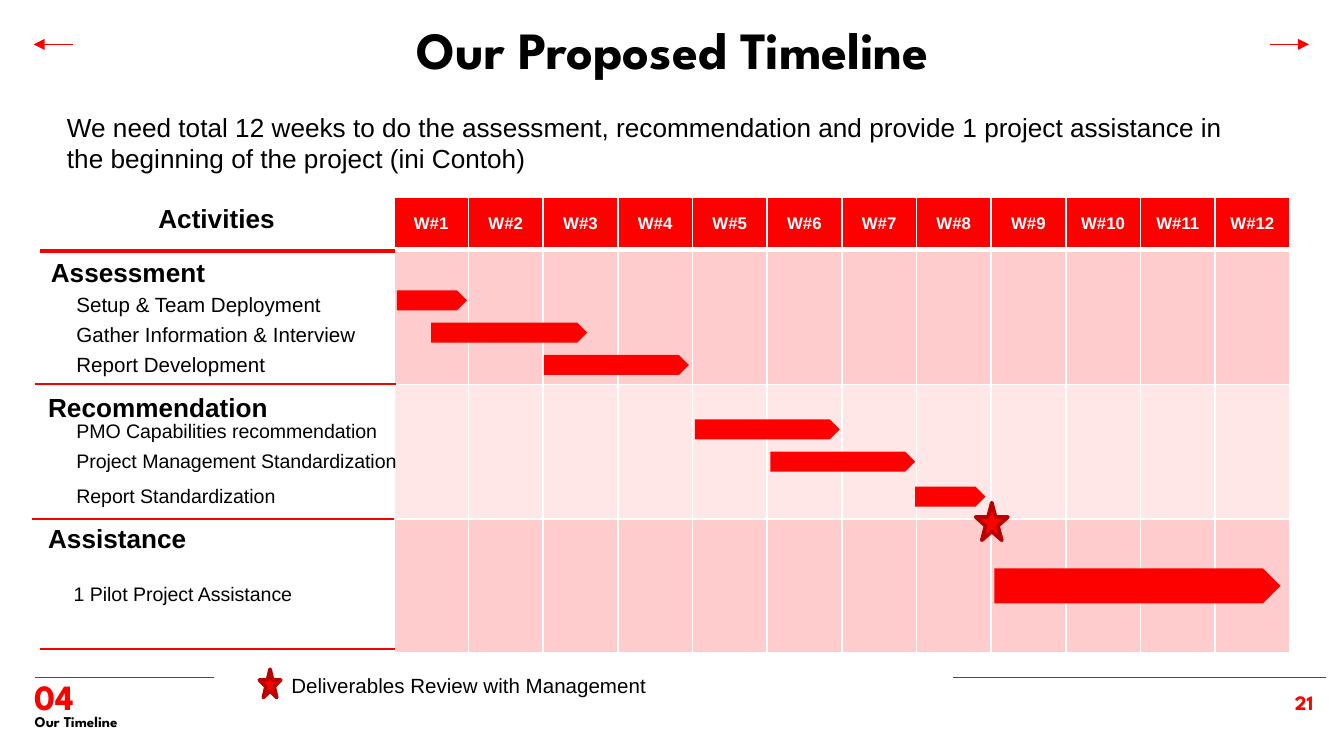
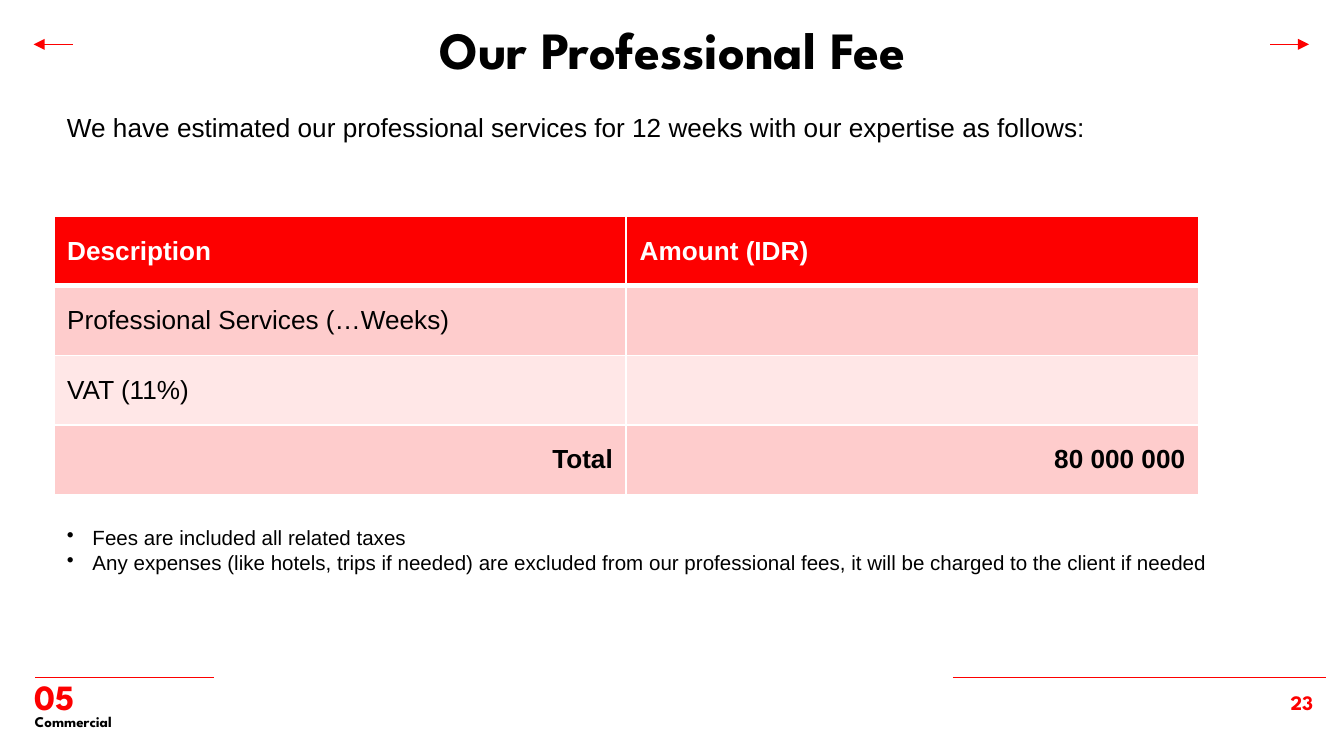
import dataclasses
import lxml.etree
import pptx
import pptx.dml.color
import pptx.enum.shapes
import pptx.enum.text
import pptx.oxml.ns
import pptx.util

ALIGN = pptx.enum.text.PP_ALIGN
ANCHOR = pptx.enum.text.MSO_ANCHOR
SHAPE = pptx.enum.shapes.MSO_SHAPE


@dataclasses.dataclass(frozen=True)
class Theme:
    red: str = "FD0000"
    rule_red: str = "F70000"
    star_edge: str = "BB0000"
    pink: str = "FECCCC"
    pale: str = "FFE7E7"
    black: str = "000000"
    white: str = "FFFFFF"
    display: str = "League Spartan"
    body: str = "Arial"
    title: float = 28
    section: float = 19
    lead: float = 14
    label: float = 11
    small_label: float = 10.5
    week: float = 9
    footer: float = 8


THEME = Theme()
COLUMNS, ROWS = 100, 56.25  # slide grid with square cells
UNIT = pptx.util.Inches(10) / COLUMNS


def grid(cells):
    return pptx.util.Emu(round(cells * UNIT))


def rgb(color):
    return pptx.dml.color.RGBColor.from_string(color)


@dataclasses.dataclass
class Box:
    """A region of a slide, measured in grid columns and rows."""
    slide: object
    left: float
    top: float
    width: float
    height: float

    def inner(self, x, y, width, height):
        return Box(self.slide, self.left + x, self.top + y, width, height)

    def frame(self):
        return [grid(v) for v in (self.left, self.top, self.width, self.height)]


def add_run(paragraph, text, size, color=THEME.black, bold=False, font=THEME.body):
    run = paragraph.add_run()
    run.text = text
    run.font.size = pptx.util.Pt(size)
    run.font.name = font
    run.font.bold = bold
    run.font.color.rgb = rgb(color)


def add_text(box, text, size, align=ALIGN.LEFT, anchor=ANCHOR.TOP, wrap=True,
             inset=0.5, bullet=False, **style):
    frame = box.slide.shapes.add_textbox(*box.frame()).text_frame
    frame.word_wrap = wrap
    frame.vertical_anchor = anchor
    frame.margin_left = frame.margin_right = grid(1)
    frame.margin_top = frame.margin_bottom = grid(inset)
    for index, line in enumerate(text.split("\n")):
        paragraph = frame.add_paragraph() if index else frame.paragraphs[0]
        paragraph.alignment = align
        if bullet:
            add_bullet(paragraph)
        add_run(paragraph, line, size, **style)


def add_bullet(paragraph):
    properties = paragraph._p.get_or_add_pPr()
    properties.set("marL", str(grid(1.9)))
    properties.set("indent", str(-grid(1.9)))
    mark = lxml.etree.SubElement(properties, pptx.oxml.ns.qn("a:buChar"))
    mark.set("char", "•")


def add_rule(box, start, end, color=THEME.red, width=0.75, arrow=False):
    points = [grid(v) for x, y in (start, end) for v in (box.left + x, box.top + y)]
    rule = box.slide.shapes.add_connector(
        pptx.enum.shapes.MSO_CONNECTOR.STRAIGHT, *points)
    rule.line.color.rgb = rgb(color)
    rule.line.width = pptx.util.Pt(width)
    if arrow:
        head = lxml.etree.SubElement(rule.line._get_or_add_ln(),
                                     pptx.oxml.ns.qn("a:tailEnd"))
        head.set("type", "triangle")
    lxml.etree.SubElement(rule._element.spPr, pptx.oxml.ns.qn("a:effectLst"))


def add_mark(box, kind, edge=None):
    mark = box.slide.shapes.add_shape(kind, *box.frame())
    mark.shadow.inherit = False
    mark.fill.solid()
    mark.fill.fore_color.rgb = rgb(THEME.red)
    if edge:
        mark.line.color.rgb = rgb(edge)
        mark.line.width = pptx.util.Pt(2)
    else:
        mark.line.fill.background()


def add_star(box):
    add_mark(box, SHAPE.STAR_5_POINT, THEME.star_edge)


def set_borders(cell, top, bottom):
    properties = cell._tc.get_or_add_tcPr()
    for index, (side, width) in enumerate(
            (("lnL", 1), ("lnR", 1), ("lnT", top), ("lnB", bottom))):
        line = lxml.etree.Element(pptx.oxml.ns.qn(f"a:{side}"),
                                  w=str(pptx.util.Pt(width)))
        fill = lxml.etree.SubElement(line, pptx.oxml.ns.qn("a:solidFill"))
        lxml.etree.SubElement(fill, pptx.oxml.ns.qn("a:srgbClr"), val=THEME.white)
        properties.insert(index, line)


def add_banded_table(box, rows, heights, size, header_align=ALIGN.LEFT):
    """Red header over pink bands; a row whose first entry is Total is bold, right."""
    table = box.slide.shapes.add_table(len(rows), len(rows[0]), *box.frame()).table
    for column in table.columns:
        column.width = grid(box.width / len(rows[0]))
    for r, (entries, height) in enumerate(zip(rows, heights)):
        table.rows[r].height = grid(height)
        header, total = r == 0, entries[0] == "Total"
        for c, entry in enumerate(entries):
            cell = table.cell(r, c)
            cell.vertical_anchor = ANCHOR.MIDDLE
            cell.fill.solid()
            cell.fill.fore_color.rgb = rgb(
                THEME.red if header else THEME.pink if r % 2 else THEME.pale)
            set_borders(cell, 3 if r == 1 else 1, 3 if header else 1)
            if entry:
                paragraph = cell.text_frame.paragraphs[0]
                paragraph.alignment = (header_align if header else
                                       ALIGN.RIGHT if total else ALIGN.LEFT)
                add_run(paragraph, entry, size,
                        THEME.white if header else THEME.black, header or total)


# Regions that both slides share

def draw_header(box, title):
    add_text(box.inner(9, 0.3, 82.1, 6.3), title, THEME.title, ALIGN.CENTER,
             inset=1, bold=True, font=THEME.display)
    add_rule(box, (94.5, 3.3), (97.4, 3.3), arrow=True)
    add_rule(box, (5.4, 3.3), (2.5, 3.3), arrow=True)


def draw_footer(box, number, section, page):
    display = dict(bold=True, font=THEME.display)
    add_rule(box, (15.9, 0), (2.6, 0))
    add_rule(box, (70.9, 0), (98.7, 0))
    add_text(box.inner(92.3, 0, 6.4, 4.3), page, THEME.label, ALIGN.RIGHT,
             inset=1, color=THEME.red, **display)
    add_text(box.inner(1.6, 2, 33.1, 2.5), section, THEME.footer,
             anchor=ANCHOR.MIDDLE, inset=0, **display)
    add_text(box.inner(1.6, 1.2, 18.5, 1.8), number, THEME.section,
             anchor=ANCHOR.BOTTOM, inset=0, color=THEME.red, **display)


def start_slide(deck, title, lead, number, section, page):
    slide = deck.slides.add_slide(deck.slide_layouts[6])
    page_box = Box(slide, 0, 0, COLUMNS, ROWS)
    draw_footer(page_box.inner(0, 50.4, COLUMNS, 5.85), number, section, page)
    draw_header(page_box.inner(0, 0, COLUMNS, 7), title)
    lead_rows = 5.7 if len(lead) > 100 else 3.4
    add_text(page_box.inner(4, 7.8, 90.6, lead_rows), lead, THEME.lead)
    return page_box


# Timeline slide

WEEKS, HEADER, BAND = 12, 3.9, 10


@dataclasses.dataclass
class Task:
    name: str
    name_width: float
    name_row: float  # rows below the top of the band
    start: float     # weeks
    length: float    # weeks
    bar_row: float
    bar_height: float = 1.5


@dataclasses.dataclass
class Phase:
    name: str
    name_at: tuple
    name_width: float
    end_rule: tuple  # left, right, rows below the top of the band
    tasks: list
    indent: float = 4.7
    size: float = THEME.small_label


PHASES = [
    Phase("Assessment", (2.8, 0), 13.6, (2.6, 29.5, BAND), [
        Task("Setup & Team Deployment", 20.5, 2.6, 0.04, 0.94, 3),
        Task("Gather Information & Interview", 22.9, 4.9, 0.5, 2.09, 5.4),
        Task("Report Development", 16.2, 7.1, 2.01, 1.94, 7.8),
    ], size=THEME.label),
    Phase("Recommendation", (2.6, 0), 18.4, (2.4, 29.3, BAND), [
        Task("PMO Capabilities recommendation", 24.8, 2.1, 4.03, 1.94, 2.6),
        Task("Project Management Standardization", 26.3, 4.3, 5.04, 1.94, 5),
        Task("Report Standardization", 17.8, 6.9, 6.98, 0.94, 7.6),
    ]),
    Phase("Assistance", (2.6, -0.2), 12.3, (3, 29.4, 9.7), [
        Task("1 Pilot Project Assistance", 25, 4.2, 8.04, 3.83, 3.7, 2.6),
    ], indent=4.5),
]


def draw_activities(box):
    """Names of phases and tasks, with a rule closing each phase."""
    add_text(box.inner(10.8, -0.1, 10.7, 3.4), "Activities", THEME.lead,
             wrap=False, bold=True)
    add_rule(box, (3, HEADER + 0.1), (29.4, HEADER + 0.1), THEME.rule_red, 2.25)
    for index, phase in enumerate(PHASES):
        band = box.inner(0, HEADER + index * BAND, box.width, BAND)
        left, right, row = phase.end_rule
        add_rule(band, (left, row), (right, row), THEME.rule_red, 1)
        add_text(band.inner(*phase.name_at, phase.name_width, 3.4), phase.name,
                 THEME.lead, wrap=False, bold=True)
        for task in phase.tasks:
            add_text(band.inner(phase.indent, task.name_row, task.name_width, 2.9),
                     task.name, phase.size, wrap=False)


def draw_schedule(box):
    """Week grid with one bar per task and the review star."""
    week = box.width / WEEKS
    rows = [[f"W#{n + 1}" for n in range(WEEKS)]] + [[""] * WEEKS for _ in PHASES]
    add_banded_table(box, rows, [HEADER] + [BAND] * len(PHASES), THEME.week,
                     ALIGN.CENTER)
    for index, phase in enumerate(PHASES):
        for task in phase.tasks:
            add_mark(box.inner(task.start * week, HEADER + index * BAND + task.bar_row,
                               task.length * week, task.bar_height), SHAPE.PENTAGON)
    add_star(box.inner(7.79 * week, 22.7, 2.4, 2.8))


def draw_legend(box):
    add_star(box.inner(0, 0.2, 1.6, 2.1))
    add_text(box.inner(1.4, 0, 28.6, 2.9), "Deliverables Review with Management",
             THEME.label, wrap=False)


def timeline_slide(deck):
    page = start_slide(
        deck, "Our Proposed Timeline",
        "We need total 12 weeks to do the assessment, recommendation and provide "
        "1 project assistance in the beginning of the project (ini Contoh)",
        "04", "Our Timeline", "21")
    plan_rows = HEADER + BAND * len(PHASES)
    draw_schedule(page.inner(29.3, 14.7, 66.7, plan_rows))
    draw_activities(page.inner(0, 14.7, 29.3, plan_rows))
    draw_legend(page.inner(19.3, 49.6, 30, 2.9))


# Fee slide

FEES = [
    ("Description", "Amount (IDR)"),
    ("Professional Services (…Weeks)", ""),
    ("VAT (11%)", ""),
    ("Total", "80 000 000"),
]
FEE_NOTES = (
    "Fees are included all related taxes\n"
    "Any expenses (like hotels, trips if needed) are excluded from our "
    "professional fees, it will be charged to the client if needed")


def draw_fees(box):
    add_banded_table(box.inner(0, 0, 85.2, 20.7), FEES,
                     [20.7 / len(FEES)] * len(FEES), THEME.lead)
    add_text(box.inner(0, 22.5, box.width, 4.7), FEE_NOTES, THEME.label,
             wrap=False, bullet=True)


def fee_slide(deck):
    page = start_slide(
        deck, "Our Professional Fee",
        "We have estimated our professional services for 12 weeks with our "
        "expertise as follows:",
        "05", "Commercial", "23")
    draw_fees(page.inner(4, 16.1, 87.3, 27.2))


def main():
    deck = pptx.Presentation()
    deck.slide_width, deck.slide_height = grid(COLUMNS), grid(ROWS)
    timeline_slide(deck)
    fee_slide(deck)
    deck.save("out.pptx")


if __name__ == "__main__":
    main()
